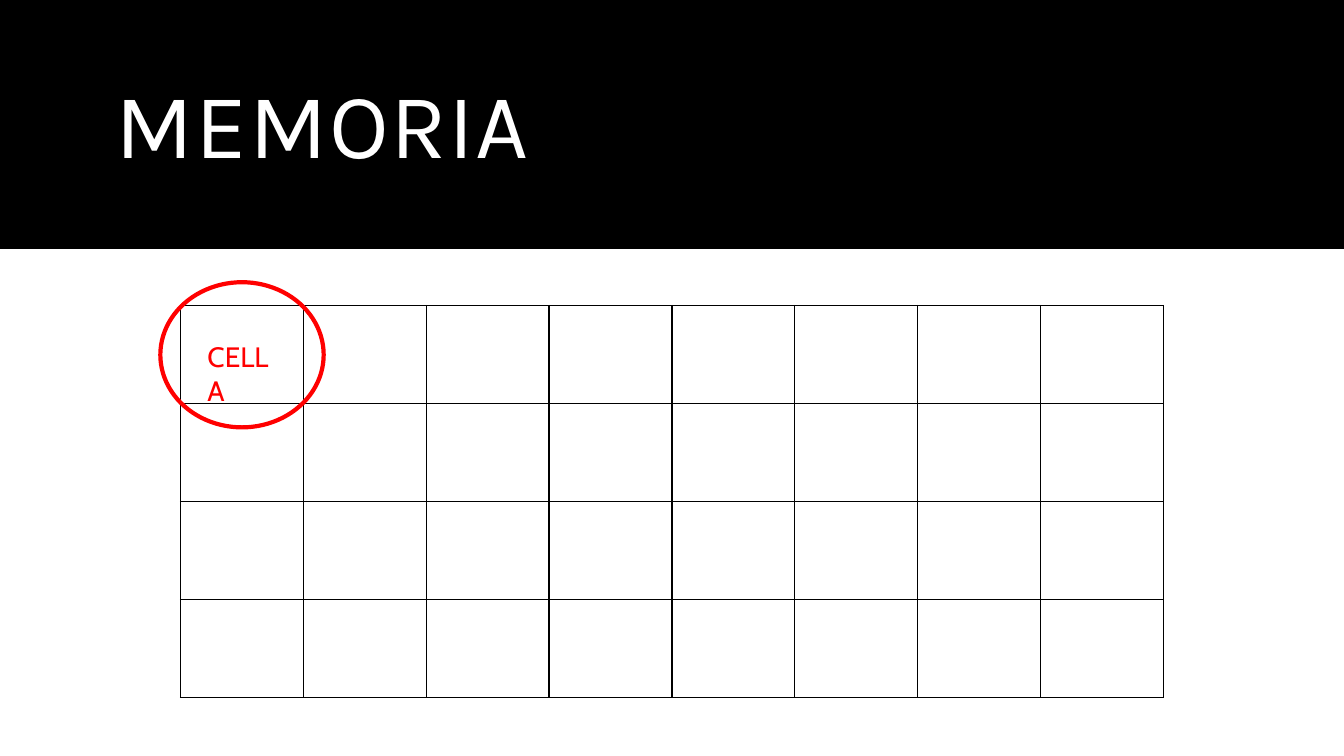
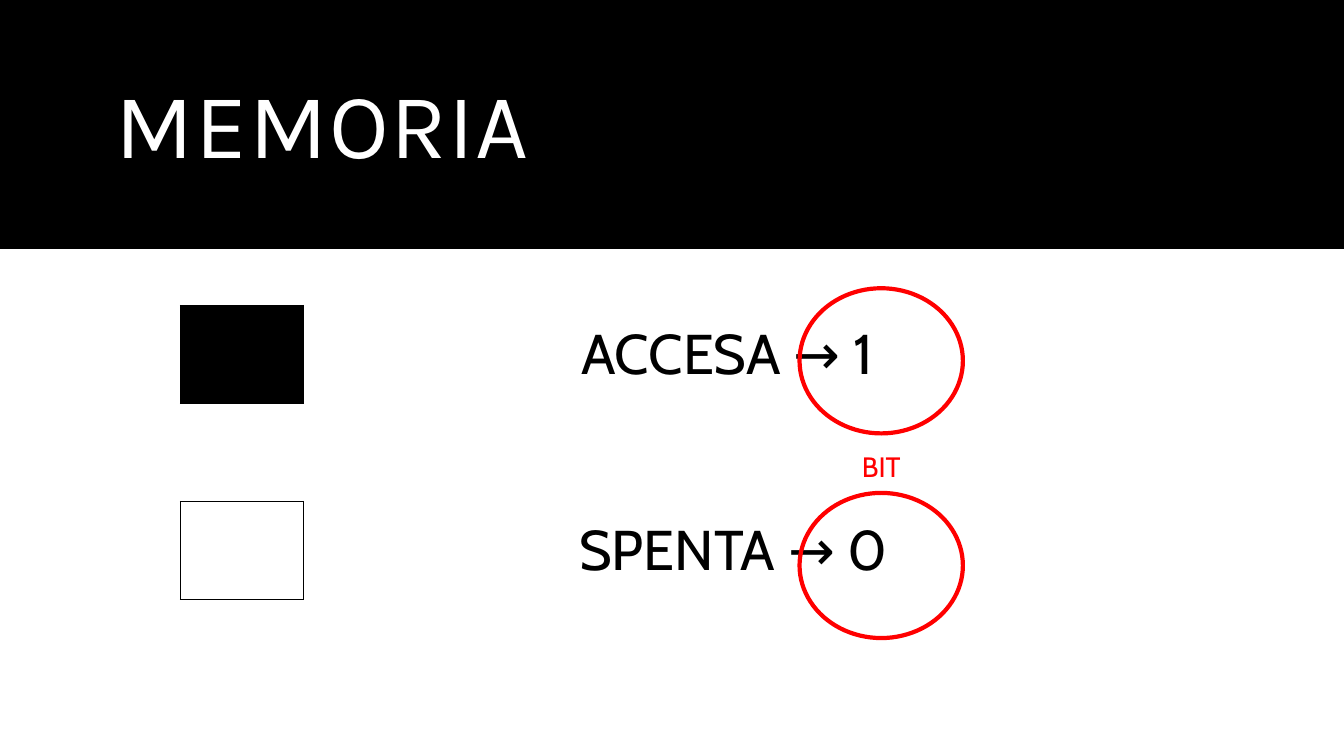
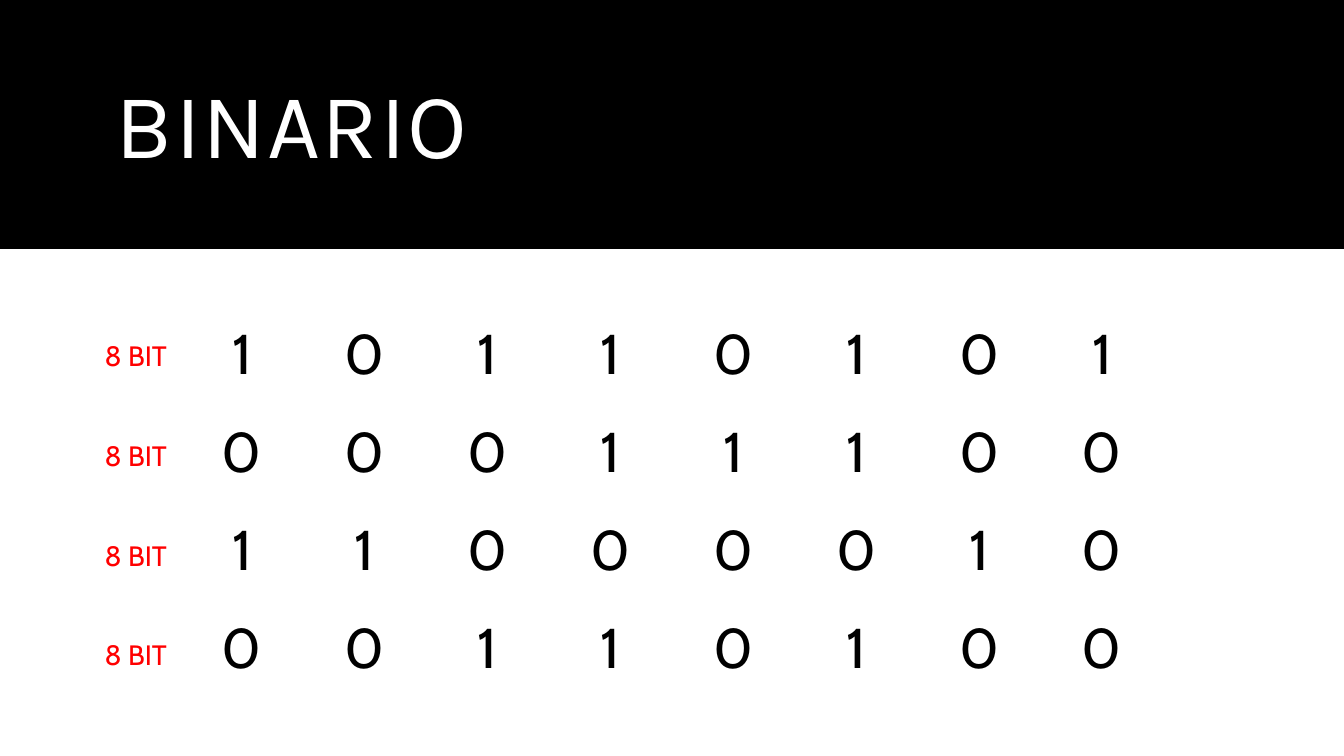
from dataclasses import dataclass

from lxml.etree import SubElement
from pptx import Presentation
from pptx.dml.color import RGBColor
from pptx.enum.shapes import MSO_SHAPE
from pptx.enum.text import MSO_ANCHOR, MSO_AUTO_SIZE, PP_ALIGN
from pptx.oxml.ns import qn
from pptx.util import Emu, Pt

# Shared look; lengths are px, 100 to the inch
SCALE = 9144
SLIDE_W, SLIDE_H = 1333, 750
BLACK, WHITE, RED = "000000", "FFFFFF", "FF0000"
TITLE_FONT, BODY_FONT = "Karla", "Cabin"
BAND_H = 247
BAND_ID = "20"
ROWS, COLS = 4, 8
GRID_BOX = (179, 303, 975, 389)
RING_W, RING_H = 162, 144
LABEL_H = 44
TITLE_ONLY = 5


@dataclass(frozen=True)
class GridCell:
    text: str = ""
    fill: str = ""
    sides: str = ""  # any of L, R, T, B


@dataclass(frozen=True)
class Label:
    text: str
    left: int
    top: int
    width: int


def px(length: int) -> Emu:
    return Emu(length * SCALE)


def colour(hex_code: str) -> RGBColor:
    return RGBColor.from_string(hex_code)


def style_font(paragraph, name: str, size: int, hex_code: str) -> None:
    font = paragraph.font
    font.name, font.size = name, Pt(size)
    font.color.rgb = colour(hex_code)


def move_band_to_layout(slide) -> None:
    """Draw the black title band once, in the layout that all slides share."""
    band = slide.shapes.add_shape(MSO_SHAPE.RECTANGLE, 0, 0, px(SLIDE_W), px(BAND_H))
    band.shadow.inherit = False
    band.fill.solid()
    band.fill.fore_color.rgb = colour(BLACK)
    band.line.fill.background()
    next(band.element.iter(qn("p:cNvPr"))).set("id", BAND_ID)
    slide.slide_layout.shapes.element.insert(2, band.element)


def add_titled_slide(deck, heading: str):
    slide = deck.slides.add_slide(deck.slide_layouts[TITLE_ONLY])
    title = slide.shapes.title
    title.left, title.top, title.width, title.height = map(px, (105, 35, 1123, 186))
    frame = title.text_frame
    frame.text = heading
    frame.word_wrap = True
    frame.auto_size = MSO_AUTO_SIZE.NONE
    frame.vertical_anchor = MSO_ANCHOR.MIDDLE
    paragraph = frame.paragraphs[0]
    paragraph.alignment = PP_ALIGN.LEFT
    paragraph.line_spacing = 0.9
    style_font(paragraph, TITLE_FONT, 66, WHITE)
    for properties in title.element.iter(qn("a:defRPr")):
        properties.set("spc", "120")
    return slide


def draw_borders(cell, sides: str) -> None:
    properties = cell._tc.get_or_add_tcPr()
    for side in "LRTB":
        line = SubElement(properties, qn(f"a:ln{side}"), w=str(Pt(1)))
        if side in sides:
            ink = SubElement(line, qn("a:solidFill"))
            SubElement(ink, qn("a:srgbClr"), val=BLACK)
        else:
            SubElement(line, qn("a:noFill"))


def add_grid(slide, contents: list[list[GridCell]]):
    table = slide.shapes.add_table(ROWS, COLS, *map(px, GRID_BOX)).table
    table.first_row = table.horz_banding = False
    for row, row_contents in enumerate(contents):
        for column, content in enumerate(row_contents):
            cell = table.cell(row, column)
            draw_borders(cell, content.sides)
            if content.fill:
                cell.fill.solid()
                cell.fill.fore_color.rgb = colour(content.fill)
            else:
                cell.fill.background()
            if content.text:
                cell.text = content.text
                cell.vertical_anchor = MSO_ANCHOR.MIDDLE
                paragraph = cell.text_frame.paragraphs[0]
                paragraph.alignment = PP_ALIGN.CENTER
                style_font(paragraph, BODY_FONT, 40, BLACK)
    return table


def add_ring(slide, left: int, top: int) -> None:
    ring = slide.shapes.add_shape(
        MSO_SHAPE.OVAL, px(left), px(top), px(RING_W), px(RING_H))
    ring.shadow.inherit = False
    ring.fill.background()
    ring.line.color.rgb = colour(RED)
    ring.line.width = Pt(3)


def add_label(slide, label: Label) -> None:
    box = slide.shapes.add_textbox(
        px(label.left), px(label.top), px(label.width), px(LABEL_H))
    frame = box.text_frame
    frame.text = label.text
    frame.word_wrap = False
    frame.auto_size = MSO_AUTO_SIZE.SHAPE_TO_FIT_TEXT
    style_font(frame.paragraphs[0], BODY_FONT, 20, RED)


def build_memory_cells(deck) -> None:
    slide = add_titled_slide(deck, "MEMORIA")
    move_band_to_layout(slide)
    add_grid(slide, [[GridCell(sides="LRTB")] * COLS] * ROWS)
    add_ring(slide, 159, 280)
    add_label(slide, Label("CELLA", 196, 332, 97))


def build_cell_states(deck) -> None:
    slide = add_titled_slide(deck, "MEMORIA")
    blanks = [GridCell()] * (COLS - 2)
    table = add_grid(slide, [
        [GridCell(fill=BLACK, sides="LRTB"), GridCell("ACCESA → 1 ", sides="L"), *blanks],
        [GridCell(sides="TB"), GridCell(), *blanks],
        [GridCell(sides="LRTB"), GridCell("SPENTA → 0", sides="L"), *blanks],
        [GridCell(sides="T"), GridCell(), *blanks],
    ])
    for row in (0, 2):
        table.cell(row, 1).merge(table.cell(row, COLS - 1))
    for top in (286, 489):
        add_ring(slide, 793, top)
    add_label(slide, Label("BIT", 845, 441, 60))


def build_binary(deck) -> None:
    slide = add_titled_slide(deck, "BINARIO")
    bytes_shown = ("10110101", "00011100", "11000010", "00110100")
    add_grid(slide, [[GridCell(bit, WHITE) for bit in byte] for byte in bytes_shown])
    for row in range(ROWS):
        add_label(slide, Label("8 BIT", 94, 331 + 99 * row, 82))


def main() -> None:
    deck = Presentation()
    deck.slide_width, deck.slide_height = px(SLIDE_W), px(SLIDE_H)
    build_memory_cells(deck)
    build_cell_states(deck)
    build_binary(deck)
    deck.save("out.pptx")


if __name__ == "__main__":
    main()
